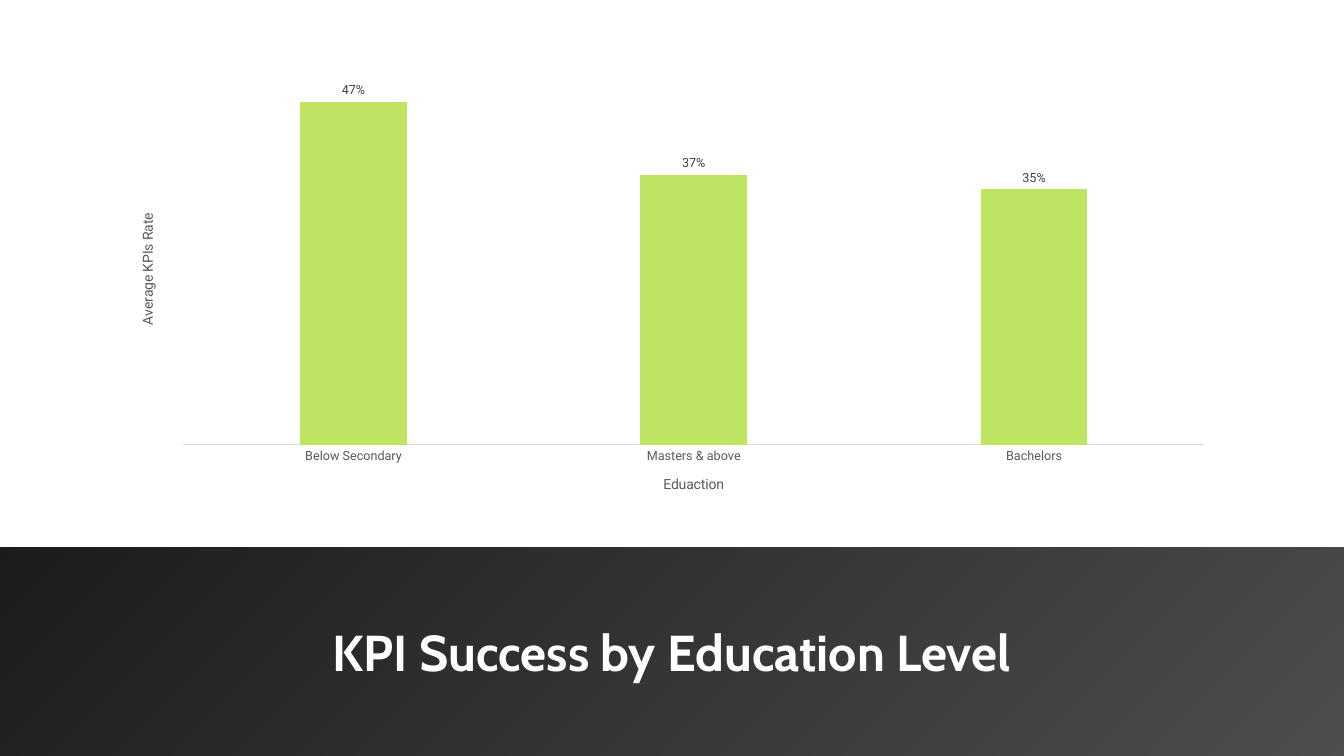
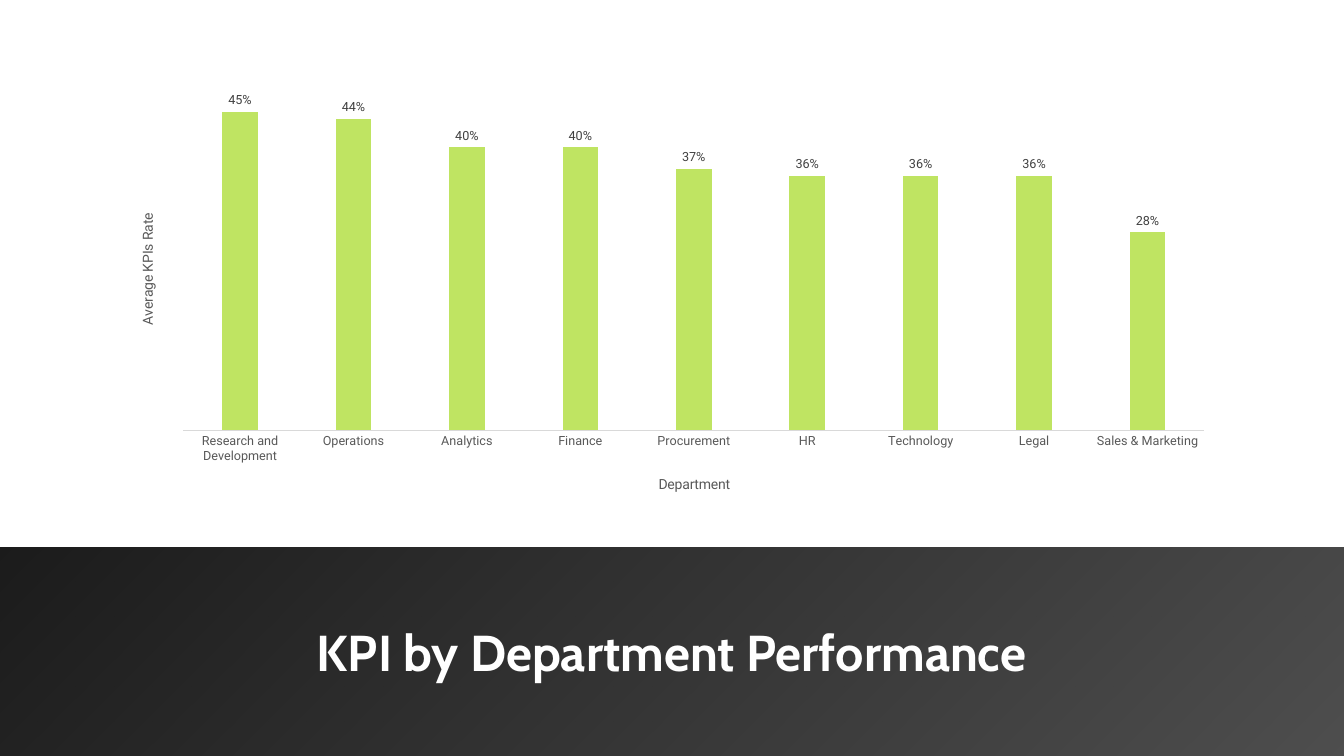
from lxml.etree import SubElement
from pptx import Presentation
from pptx.chart.data import CategoryChartData
from pptx.dml.color import RGBColor
from pptx.enum.chart import XL_CHART_TYPE, XL_LABEL_POSITION, XL_TICK_LABEL_POSITION, XL_TICK_MARK
from pptx.enum.shapes import MSO_SHAPE
from pptx.enum.text import PP_ALIGN
from pptx.oxml import parse_xml
from pptx.oxml.ns import nsdecls, qn
from pptx.util import Cm, Pt

WHITE = RGBColor(0xFF, 0xFF, 0xFF)
BLACK = RGBColor(0x00, 0x00, 0x00)
LIME = RGBColor(0xBF, 0xE4, 0x62)
AXIS_TEXT = RGBColor(0x59, 0x59, 0x59)
LABEL_TEXT = RGBColor(0x40, 0x40, 0x40)
AXIS_LINE = RGBColor(0xD9, 0xD9, 0xD9)
BAND_OPACITIES = (70, 90)
TITLE_FONT = "Cabin"
CHART_FONT = "Roboto"

SLIDE_WIDTH, SLIDE_HEIGHT = Cm(33.87), Cm(19.05)
BAND_TOP = Cm(13.79)
CHART_WIDTH, CHART_HEIGHT = Cm(27.94), Cm(11.25)

SLIDES = [
    {
        "title": "KPI Success by Education Level",
        "axis": "Eduaction",
        "axis_left": Cm(13.68),
        "plot_top": Cm(0.34),
        "plot_height": Cm(9.19),
        "rates": {"Below Secondary": 0.47, "Masters & above": 0.37, "Bachelors": 0.35},
    },
    {
        "title": "KPI by Department Performance",
        "axis": "Department",
        "axis_left": Cm(13.56),
        "plot_top": Cm(0.25),
        "plot_height": Cm(8.92),
        "rates": {
            "Research and Development": 0.45,
            "Operations": 0.44,
            "Analytics": 0.40,
            "Finance": 0.40,
            "Procurement": 0.37,
            "HR": 0.36,
            "Technology": 0.36,
            "Legal": 0.36,
            "Sales & Marketing": 0.28,
        },
    },
]


def place_in_chart(element, index, left, top, size=None):
    """Give a chart part a fixed place, measured from the chart's corner."""
    for old in element.findall(qn("c:layout")):
        element.remove(old)
    layout = parse_xml(f"<c:layout {nsdecls('c')}><c:manualLayout/></c:layout>")
    settings = {"xMode": "edge", "yMode": "edge", "x": left / CHART_WIDTH, "y": top / CHART_HEIGHT}
    if size:
        width, height = size
        settings = {"layoutTarget": "inner", **settings,
                    "w": width / CHART_WIDTH, "h": height / CHART_HEIGHT}
    for name, value in settings.items():
        SubElement(layout[0], qn(f"c:{name}")).set("val", str(value))
    element.insert(index, layout)


def add_axis_title(axis, text, left, top):
    title = axis.axis_title
    title.text_frame.text = text
    font = title.text_frame.paragraphs[0].runs[0].font
    font.name, font.size, font.bold = CHART_FONT, Pt(10), False
    font.color.rgb = AXIS_TEXT
    place_in_chart(title._element, 1, left, top)
    return title


deck = Presentation()
deck.slide_width, deck.slide_height = SLIDE_WIDTH, SLIDE_HEIGHT

for content in SLIDES:
    page = deck.slides.add_slide(deck.slide_layouts[6])

    band = page.shapes.add_shape(
        MSO_SHAPE.RECTANGLE, 0, BAND_TOP, SLIDE_WIDTH, SLIDE_HEIGHT - BAND_TOP)
    band.shadow.inherit = False
    band.line.fill.background()
    band.fill.gradient()
    band.fill.gradient_angle = 135
    for stop in band.fill.gradient_stops:
        stop.color.rgb = BLACK
    stop_colors = band._element.spPr.findall(f".//{qn('a:gs')}/{qn('a:srgbClr')}")
    for stop_color, opacity in zip(stop_colors, BAND_OPACITIES):
        SubElement(stop_color, qn("a:alpha")).set("val", str(opacity * 1000))

    title_box = page.shapes.add_textbox(Cm(2.37), Cm(15.52), Cm(29.11), Cm(3.33))
    title_box.text_frame.word_wrap = True
    para = title_box.text_frame.paragraphs[0]
    para.text = content["title"]
    para.alignment = PP_ALIGN.CENTER
    title_font = para.runs[0].font
    title_font.name, title_font.size, title_font.bold = TITLE_FONT, Pt(36), True
    title_font.color.rgb = WHITE

    chart_data = CategoryChartData(number_format="0%")
    chart_data.categories = list(content["rates"])
    chart_data.add_series("Series 1", list(content["rates"].values()))
    chart = page.shapes.add_chart(
        XL_CHART_TYPE.COLUMN_CLUSTERED, Cm(2.97), Cm(1.68),
        CHART_WIDTH, CHART_HEIGHT, chart_data).chart
    chart.has_title = False
    chart.has_legend = False
    chart.font.name, chart.font.size = CHART_FONT, Pt(10)

    plot = chart.plots[0]
    plot.gap_width, plot.overlap = 219, -27
    plot.vary_by_categories = False
    bars = plot.series[0]
    bars.format.fill.solid()
    bars.format.fill.fore_color.rgb = LIME

    plot.has_data_labels = True
    labels = plot.data_labels
    labels.show_value = True
    labels.position = XL_LABEL_POSITION.OUTSIDE_END
    labels.number_format, labels.number_format_is_linked = "0%", False
    labels.font.name, labels.font.size = CHART_FONT, Pt(9)
    labels.font.color.rgb = LABEL_TEXT

    categories = chart.category_axis
    categories.major_tick_mark = XL_TICK_MARK.NONE
    categories.minor_tick_mark = XL_TICK_MARK.NONE
    categories.tick_label_position = XL_TICK_LABEL_POSITION.NEXT_TO_AXIS
    categories.tick_labels.font.name = CHART_FONT
    categories.tick_labels.font.size = Pt(9)
    categories.tick_labels.font.color.rgb = AXIS_TEXT
    categories.format.line.color.rgb = AXIS_LINE
    categories.format.line.width = Pt(0.75)
    add_axis_title(categories, content["axis"], content["axis_left"], Cm(10.22))

    values = chart.value_axis
    values.minimum_scale, values.maximum_scale = 0, 0.5
    values.has_major_gridlines = False
    values.visible = False
    values_title = add_axis_title(values, "Average KPIs Rate", Cm(0.46), Cm(3.63))
    body = values_title.text_frame._txBody.find(qn("a:bodyPr"))
    body.set("rot", "-5400000")
    body.set("vert", "horz")

    plot_area = chart._chartSpace.find(f".//{qn('c:plotArea')}")
    place_in_chart(plot_area, 0, Cm(1.65), content["plot_top"],
                   (Cm(25.73), content["plot_height"]))

deck.save("out.pptx")
